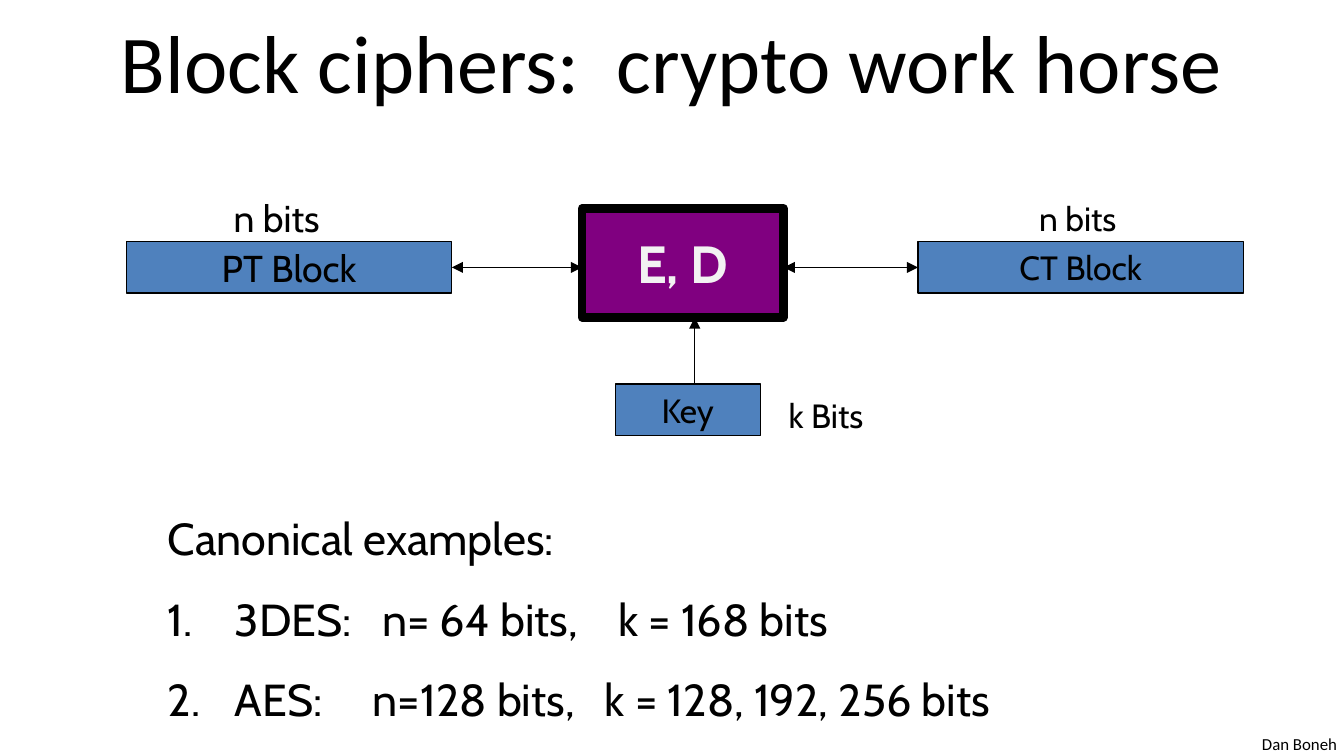
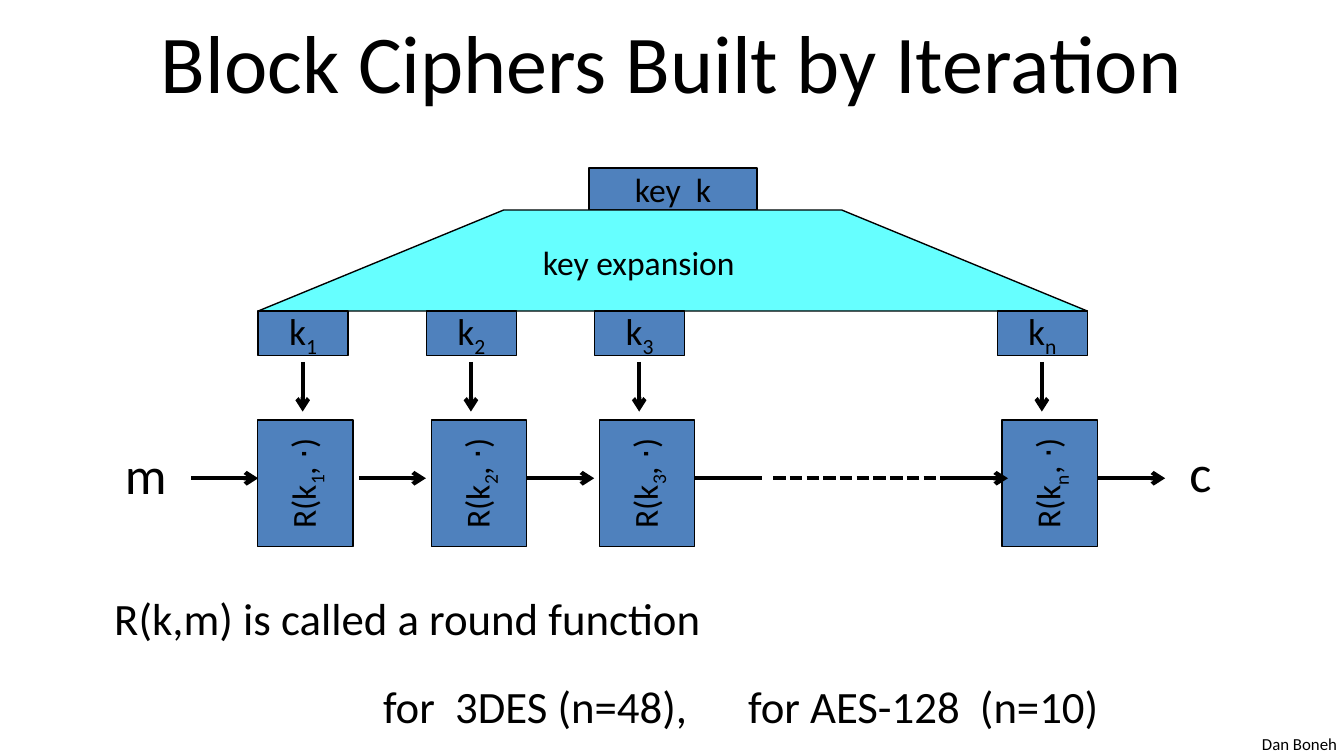
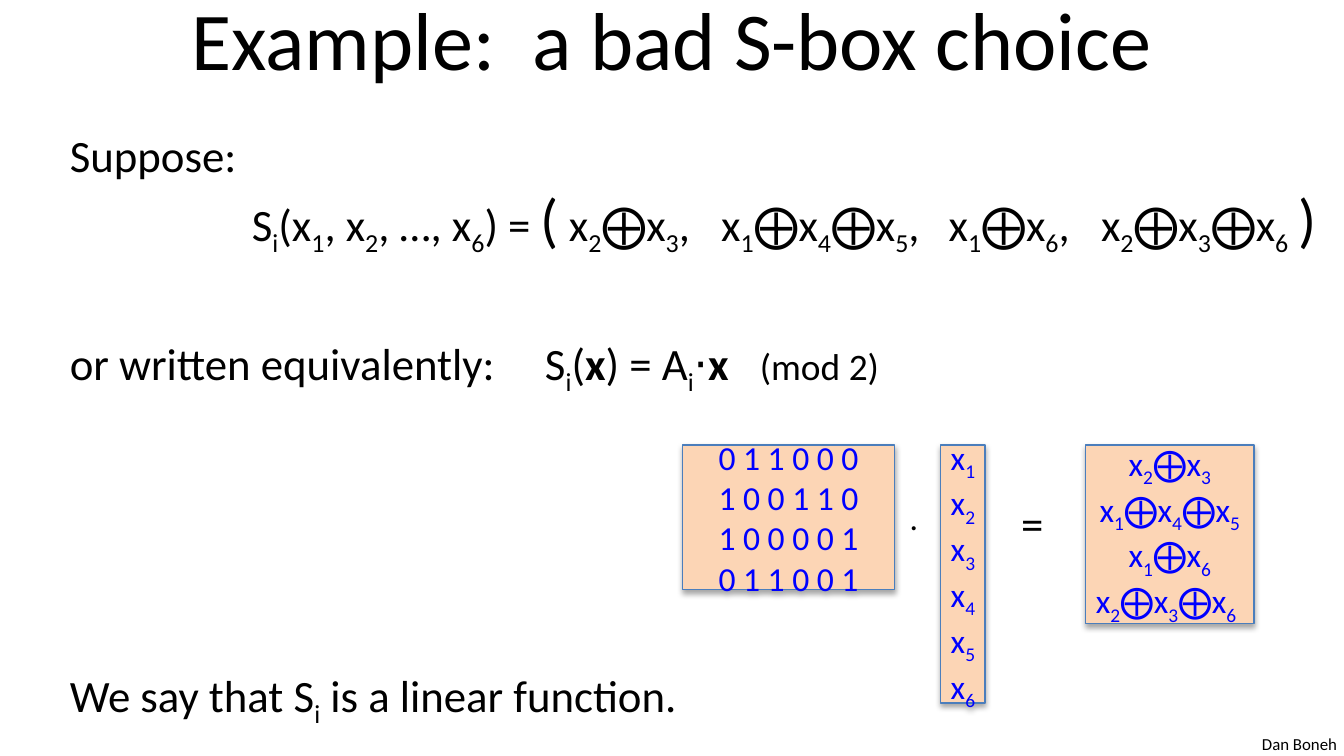
from lxml.etree import SubElement
from pptx import Presentation
from pptx.dml.color import RGBColor
from pptx.enum.dml import MSO_LINE
from pptx.enum.shapes import MSO_CONNECTOR, MSO_SHAPE
from pptx.enum.text import MSO_ANCHOR, MSO_AUTO_SIZE, PP_ALIGN
from pptx.oxml.ns import qn
from pptx.util import Cm, Pt

BLACK, BLUE, PURPLE, CYAN = "000000", "4F81BD", "800080", "66FFFF"
PEACH, PEACH_EDGE, INK_BLUE, PALE = "FCD5B5", "4B7EBC", "0000FF", "F2F2F2"
CALIBRI, CABIN = "Calibri", "Cabin"
LEFT, CENTER = PP_ALIGN.LEFT, PP_ALIGN.CENTER
RIGHT_SIDE, LEFT_SIDE = 3, 1

# Horizontal offsets of the round keys, shared by key expansion and rounds
SUBSCRIPTS = "123n"
KEY_STEP = 3.18
KEY_OFFSETS = [0, KEY_STEP, 2 * KEY_STEP, 13.97]


def color(hex_string):
    return RGBColor.from_string(hex_string)


def add_runs(paragraph, text, size, font=CALIBRI, ink=BLACK, bold=False):
    """Add text in which "_" lowers the one character after it."""
    first, *rest = text.split("_")
    pieces = [(first, False)]
    for part in rest:
        pieces += [(part[0], True), (part[1:], False)]
    for piece, lowered in pieces:
        if not piece:
            continue
        run = paragraph.add_run()
        run.text = piece
        run.font.size, run.font.name, run.font.bold = Pt(size), font, bold
        run.font.color.rgb = color(ink)
        if lowered:
            run.font._element.set("baseline", "-25000")


def write_lines(shape, lines, size, align=LEFT, **style):
    """Write one paragraph a line; a line is a string or (text, size, bold) parts."""
    frame = shape.text_frame
    for index, line in enumerate(lines):
        paragraph = frame.add_paragraph() if index else frame.paragraphs[0]
        paragraph.alignment = align
        if isinstance(line, str):
            add_runs(paragraph, line, size, **style)
        else:
            for text, part_size, bold in line:
                add_runs(paragraph, text, part_size, bold=bold)
    return frame.paragraphs


def set_tabs(paragraph, *stops):
    tab_list = SubElement(paragraph._p.get_or_add_pPr(), qn("a:tabLst"))
    for stop in stops:
        SubElement(tab_list, qn("a:tab"), pos=str(Cm(stop)), algn="l")


def add_text(slide, left, top, width, height, lines, size, wrap=True, **style):
    box = slide.shapes.add_textbox(Cm(left), Cm(top), Cm(width), Cm(height))
    box.text_frame.word_wrap = wrap
    return box, write_lines(box, lines, size, **style)


def add_label(slide, left, top, width, height, text, size, **style):
    """Add a one-line text whose box hugs it."""
    box, _ = add_text(slide, left, top, width, height, [text], size, wrap=False, **style)
    box.text_frame.auto_size = MSO_AUTO_SIZE.SHAPE_TO_FIT_TEXT


def add_block(slide, left, top, width, height, lines=(), size=18, fill=BLUE,
              edge=BLACK, edge_width=0.75, preset=MSO_SHAPE.RECTANGLE, wrap=True, **style):
    block = slide.shapes.add_shape(preset, Cm(left), Cm(top), Cm(width), Cm(height))
    block.shadow.inherit = False
    block.fill.solid()
    block.fill.fore_color.rgb = color(fill)
    block.line.color.rgb = color(edge)
    block.line.width = Pt(edge_width)
    block.text_frame.word_wrap = wrap
    block.text_frame.vertical_anchor = MSO_ANCHOR.MIDDLE
    write_lines(block, lines, size, align=CENTER, **style)
    return block


def add_line(slide, x1, y1, x2, y2, width=2.25, head=None, tail=None, dash=None):
    line = slide.shapes.add_connector(MSO_CONNECTOR.STRAIGHT, Cm(x1), Cm(y1), Cm(x2), Cm(y2))
    line.line.color.rgb = color(BLACK)
    line.line.width = Pt(width)
    if dash:
        line.line.dash_style = dash
    outline = line.line._get_or_add_ln()
    for tag, kind in (("a:headEnd", head), ("a:tailEnd", tail)):
        if kind:
            SubElement(outline, qn(tag), type=kind)
    SubElement(line._element.spPr, qn("a:effectLst"))
    return line


def add_slide(presentation, title, title_top=-0.05):
    slide = presentation.slides.add_slide(presentation.slide_layouts[6])
    add_label(slide, 23.6, 13.74, 1.93, 0.64, "Dan Boneh", 9)
    box, _ = add_text(slide, 1.27, title_top, 22.86, 2.39, [title], 44, align=CENTER)
    box.text_frame.vertical_anchor = MSO_ANCHOR.MIDDLE
    return slide


def cipher_diagram(slide, left, top):
    block_width, block_height, block_top = 6.15, 0.97, top + 1.01
    cipher_left, cipher_top, cipher_width, cipher_height = left + 8.61, top + 0.38, 3.81, 2.06
    key_top = top + 3.7
    cabin = {"font": CABIN, "wrap": False}

    add_block(slide, cipher_left, cipher_top, cipher_width, cipher_height, ["E, D"], 28,
              fill=PURPLE, edge_width=4.5, ink=PALE, bold=True, **cabin)
    plain = add_block(slide, left, block_top, block_width, block_height,
                      ["PT Block"], 20, **cabin)
    coded = add_block(slide, left + 14.96, block_top, block_width, block_height,
                      ["CT Block"], 18, **cabin)
    add_block(slide, left + 9.24, key_top, 2.74, block_height, ["Key"], 18, **cabin)

    middle = block_top + block_height / 2
    both_ends = {"width": 0.75, "head": "triangle", "tail": "triangle"}
    add_line(slide, left + block_width, middle, cipher_left, middle,
             **both_ends).begin_connect(plain, RIGHT_SIDE)
    add_line(slide, cipher_left + cipher_width, middle, left + 14.96, middle,
             **both_ends).end_connect(coded, LEFT_SIDE)
    key_x = left + 10.74
    add_line(slide, key_x, key_top, key_x, cipher_top + cipher_height,
             width=0.75, tail="triangle")

    for x, y, width, height, text, size in (
            (1.72, 0, 2.24, 1.12, "n bits", 20),
            (16.94, 0.05, 2.08, 1.02, "n bits", 18),
            (12.19, 3.78, 2.06, 1.02, "k Bits", 18)):
        add_label(slide, left + x, top + y, width, height, text, size, font=CABIN, align=CENTER)


def examples_list(slide, left, top, width, height):
    lines = ["Canonical examples:",
             "3DES:   n= 64 bits,    k = 168 bits",
             "AES:     n=128 bits,   k = 128, 192, 256 bits"]
    _, paragraphs = add_text(slide, left, top, width, height, lines, 24, font=CABIN)
    for paragraph in paragraphs[1:]:
        paragraph.line_spacing = 1.5
        properties = paragraph._p.get_or_add_pPr()
        properties.set("marL", str(Cm(1.27)))
        properties.set("indent", str(-Cm(1.27)))
        SubElement(properties, qn("a:buAutoNum"), type="arabicPeriod")


def key_expansion(slide, left, top):
    funnel_top, funnel_height = top + 0.79, 1.91
    keys_top = funnel_top + funnel_height
    add_block(slide, left + 6.25, top, 3.18, 0.79, ["key  k"])
    funnel = add_block(slide, left, funnel_top, 15.67, funnel_height,
                       fill=CYAN, preset=MSO_SHAPE.TRAPEZOID)
    funnel.adjustments[0] = 2.43
    add_label(slide, left + 5.13, top + 1.27, 4.22, 1.02, "key expansion", 18)
    for offset, subscript in zip(KEY_OFFSETS, SUBSCRIPTS):
        add_block(slide, left + offset, keys_top, 1.7, 0.84, [f"k_{subscript}"], 20)
        arrow_x = left + offset + 0.84
        add_line(slide, arrow_x, keys_top + 0.96, arrow_x, keys_top + 1.9, tail="arrow")


def round_chain(slide, left, top):
    width, height = 2.39, 1.8  # before the quarter turn
    for offset, subscript in zip(KEY_OFFSETS, SUBSCRIPTS):
        center_x = left + offset + (0.99 if offset else 0.89)
        block = add_block(slide, center_x - width / 2, top + (width - height) / 2,
                          width, height, [f"R(k_{subscript}, ⋅)"])
        block.rotation = 270

    line_y, length = top + 1.1, 1.27
    for offset, tail in ((-1.27, "arrow"), (1.9, "arrow"), (5.08, "arrow"),
                         (8.25, None), (12.9, "arrow"), (15.87, "arrow")):
        start = left + offset
        add_line(slide, start, line_y, start + length, line_y, tail=tail)
    add_line(slide, left + 9.73, line_y, left + 12.9, line_y, dash=MSO_LINE.SQUARE_DOT)
    add_label(slide, left - 2.77, top + 0.29, 1.32, 1.45, "m", 28)
    add_label(slide, left + 17.35, top + 0.26, 1.07, 1.45, "c", 28)


def round_notes(slide, left, top, width, height):
    lines = ["R(k,m) is called a round function",
             "\tfor  3DES (n=48),\tfor AES-128  (n=10)"]
    _, paragraphs = add_text(slide, left, top, width, height, lines, 24)
    paragraphs[1].space_before = Pt(18.2)
    set_tabs(paragraphs[1], 5.08, 11.98)


def linear_function_text(slide, left, top, width, height):
    lines = [
        "Suppose:",
        [("\tS_i(x_1, x_2, …, x_6) = ", 24, False), ("(", 32, False),
         (" x_2⨁x_3,\tx_1⨁x_4⨁x_5,\tx_1⨁x_6,\tx_2⨁x_3⨁x_6 ", 24, False),
         (")", 32, False)],
        [("or written equivalently:\tS_i(", 24, False), ("x", 24, True),
         (") = A_i⋅", 24, False), ("x", 24, True), ("\t(mod 2)", 20, False)],
        "We say that S_i is a linear function.",
    ]
    _, paragraphs = add_text(slide, left, top, width, height, lines, 24)
    set_tabs(paragraphs[1], 3.44, 12.31, 16.61, 19.49)
    set_tabs(paragraphs[2], 8.98, 13.04)
    paragraphs[2].space_before = Pt(41.8)
    paragraphs[3].space_before = Pt(145)


def add_matrix(slide, left, top, width, height, rows, side_inset=0.0):
    block = add_block(slide, left, top, width, height, rows, 18,
                      fill=PEACH, edge=PEACH_EDGE, ink=INK_BLUE)
    block.text_frame.margin_left = block.text_frame.margin_right = Cm(side_inset)
    effects = block._element.spPr.find(qn("a:effectLst"))
    shadow = SubElement(effects, qn("a:outerShdw"), blurRad=str(Pt(3.1)),
                        dist=str(Pt(1.8)), dir="5400000", rotWithShape="0")
    tint = SubElement(shadow, qn("a:srgbClr"), val=BLACK)
    SubElement(tint, qn("a:alpha"), val="35000")


def matrix_equation(slide, left, top):
    add_matrix(slide, left, top, 4.01, 2.74,
               ["0 1 1 0 0 0", "1 0 0 1 1 0", "1 0 0 0 0 1", "0 1 1 0 0 1"], 0.25)
    add_label(slide, left + 4.04, top + 0.86, 0.69, 1.02, ".", 18)
    add_matrix(slide, left + 4.88, top, 0.84, 4.88, [f"x_{row}" for row in range(1, 7)])
    add_label(slide, left + 6.15, top + 0.84, 0.94, 1.27, "=", 24)
    add_matrix(slide, left + 7.62, top, 3.18, 3.38,
               ["x_2⨁x_3", "x_1⨁x_4⨁x_5", "x_1⨁x_6", "x_2⨁x_3⨁x_6 "])


def main():
    presentation = Presentation()
    presentation.slide_width, presentation.slide_height = Cm(25.4), Cm(14.29)

    slide = add_slide(presentation, "Block ciphers:  crypto work horse")
    cipher_diagram(slide, 2.39, 3.56)
    examples_list(slide, 2.92, 9.53, 18.49, 4.27)

    slide = add_slide(presentation, "Block Ciphers Built by Iteration")
    round_notes(slide, 1.91, 11.05, 22.66, 2.84)
    key_expansion(slide, 4.88, 3.18)
    round_chain(slide, 4.88, 7.94)

    slide = add_slide(presentation, "Example:  a bad S-box choice", title_top=-0.48)
    linear_function_text(slide, 1.07, 2.29, 24.33, 11.38)
    matrix_equation(slide, 12.9, 8.41)

    presentation.save("out.pptx")


if __name__ == "__main__":
    main()
